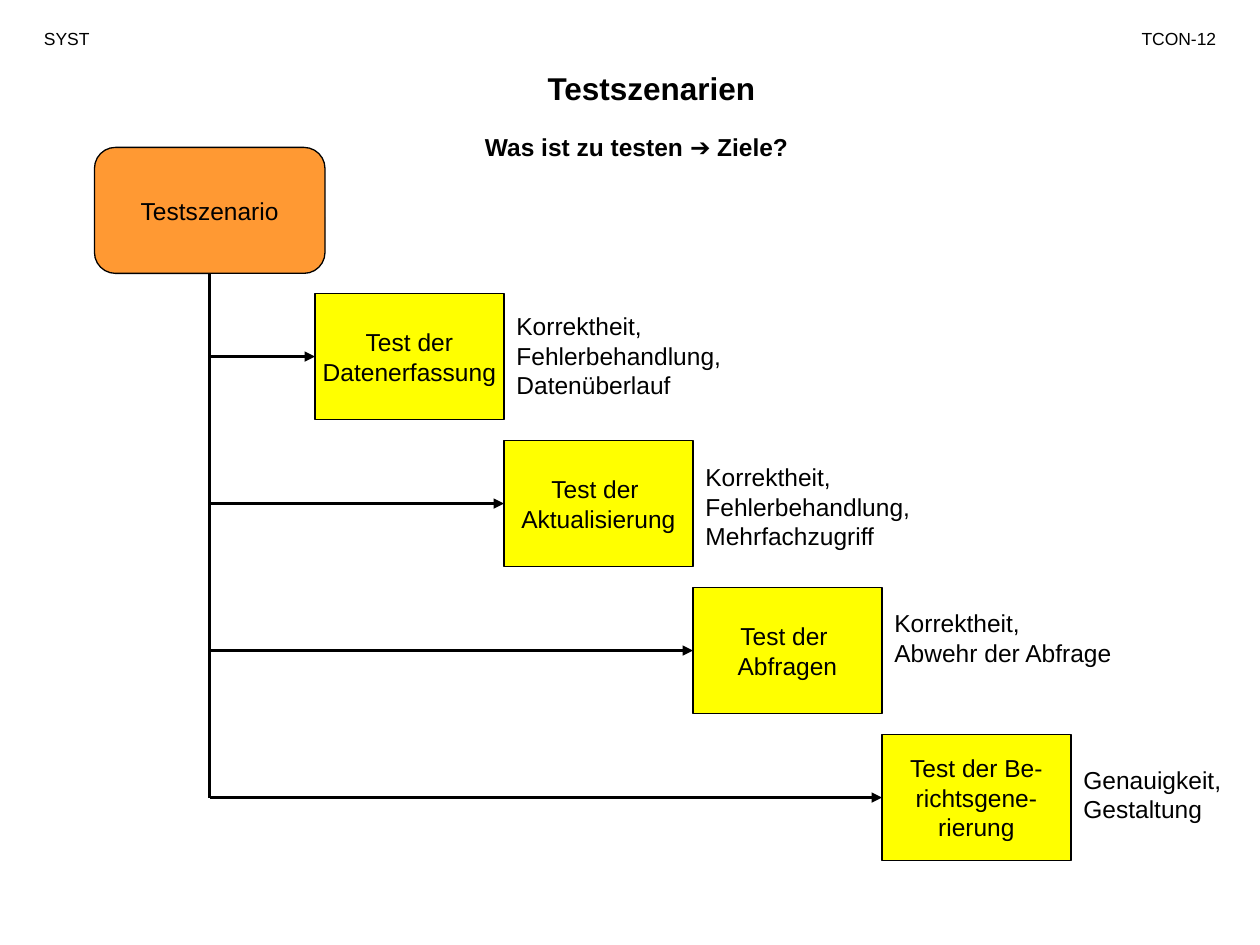
from dataclasses import dataclass

from lxml.etree import SubElement
from pptx import Presentation
from pptx.dml.color import RGBColor
from pptx.enum.shapes import MSO_CONNECTOR, MSO_SHAPE
from pptx.enum.text import MSO_ANCHOR, PP_ALIGN
from pptx.oxml.ns import qn
from pptx.util import Inches, Pt


@dataclass(frozen=True)
class Theme:
    font: str = "Arial"
    ink: RGBColor = RGBColor(0, 0, 0)
    scenario: RGBColor = RGBColor(0xFF, 0x99, 0x33)
    test: RGBColor = RGBColor(0xFF, 0xFF, 0)
    title: int = 18
    body: int = 14
    header: int = 10
    outline: float = 0.75
    arrow: float = 1.5


@dataclass(frozen=True)
class Box:
    left: float
    top: float
    width: float
    height: float


@dataclass(frozen=True)
class Label:
    text: str
    box: Box
    size: int
    align: PP_ALIGN = PP_ALIGN.LEFT
    bold: bool = False


@dataclass(frozen=True)
class Test:
    name: str
    goals: str
    goals_top: float
    goals_width: float = 2.08


THEME = Theme()
SCENARIO = Box(0.75, 1.17, 1.83, 1)
TRUNK_X = SCENARIO.left + SCENARIO.width / 2
FIRST = Box(2.5, 2.33, 1.5, 1)
STEP_Y = 3.5 / 3

LABELS = [
    Label("Testszenarien", Box(2.17, 0.5, 6, 0.4), THEME.title, PP_ALIGN.CENTER, True),
    Label("SYST", Box(0.25, 0.17, 0.92, 0.27), THEME.header),
    Label("TCON-12", Box(8.75, 0.17, 1, 0.27), THEME.header, PP_ALIGN.RIGHT),
    Label("Was ist zu testen ➔ Ziele?", Box(3.75, 1, 2.67, 0.34), THEME.body, bold=True),
]

TESTS = [
    Test("Test der\nDatenerfassung", "Korrektheit,\nFehlerbehandlung,\nDatenüberlauf", 2.42),
    Test("Test der \nAktualisierung", "Korrektheit,\nFehlerbehandlung,\nMehrfachzugriff", 3.62),
    Test("Test der \nAbfragen", "Korrektheit,\nAbwehr der Abfrage", 4.78),
    Test("Test der Be-\nrichtsgene-\nrierung", "Genauigkeit,\nGestaltung", 6.02, 1.33),
]


def place(box: Box) -> list:
    return [Inches(v) for v in (box.left, box.top, box.width, box.height)]


def format_paragraph(p, size: int, align: PP_ALIGN, bold: bool = False) -> None:
    p.alignment = align
    for r in p.runs:
        for key, value in {"name": THEME.font, "size": Pt(size), "bold": bold}.items():
            setattr(r.font, key, value)
        r.font.color.rgb = THEME.ink
    for br in p._p.findall(qn("a:br")):
        SubElement(br, qn("a:rPr"), sz=str(size * 100))


def add_label(s, label: Label) -> None:
    tf = s.shapes.add_textbox(*place(label.box)).text_frame
    tf.word_wrap = True
    p = tf.paragraphs[0]
    p.text = label.text
    format_paragraph(p, label.size, label.align, label.bold)


def add_box(s, kind: MSO_SHAPE, box: Box, fill: RGBColor, text: str):
    sp = s.shapes.add_shape(kind, *place(box))
    sp.shadow.inherit = False
    sp.fill.solid()
    sp.fill.fore_color.rgb = fill
    sp.line.color.rgb = THEME.ink
    sp.line.width = Pt(THEME.outline)
    tf = sp.text_frame
    tf.text = text
    for key, value in {"word_wrap": False, "vertical_anchor": MSO_ANCHOR.MIDDLE}.items():
        setattr(tf, key, value)
    for p in tf.paragraphs:
        format_paragraph(p, THEME.body, PP_ALIGN.CENTER)
    return sp


def add_line(s, x1: float, y1: float, x2: float, y2: float, arrow: bool = False) -> None:
    ends = [Inches(v) for v in (x1, y1, x2, y2)]
    line = s.shapes.add_connector(MSO_CONNECTOR.STRAIGHT, *ends)
    line.line.color.rgb = THEME.ink
    line.line.width = Pt(THEME.arrow)
    if arrow:
        SubElement(line.line._get_or_add_ln(), qn("a:tailEnd"), type="triangle")
    SubElement(line._element.spPr, qn("a:effectLst"))


def main() -> None:
    prs = Presentation()
    prs.slide_width, prs.slide_height = Inches(10), Inches(7.5)
    s = prs.slides.add_slide(prs.slide_layouts[6])

    for label in LABELS:
        add_label(s, label)
    add_box(s, MSO_SHAPE.ROUNDED_RECTANGLE, SCENARIO, THEME.scenario, "Testszenario")

    for i, test in enumerate(TESTS):
        box = Box(FIRST.left + i * FIRST.width, FIRST.top + i * STEP_Y, FIRST.width, FIRST.height)
        middle = box.top + box.height / 2
        right = box.left + box.width
        add_box(s, MSO_SHAPE.RECTANGLE, box, THEME.test, test.name)
        add_line(s, TRUNK_X, middle, box.left, middle, arrow=True)
        height = 0.1 + 0.235 * len(test.goals.splitlines())
        goals_box = Box(right, test.goals_top, test.goals_width, height)
        add_label(s, Label(test.goals, goals_box, THEME.body))
    add_line(s, TRUNK_X, SCENARIO.top + SCENARIO.height, TRUNK_X, middle)

    prs.save("out.pptx")


if __name__ == "__main__":
    main()
